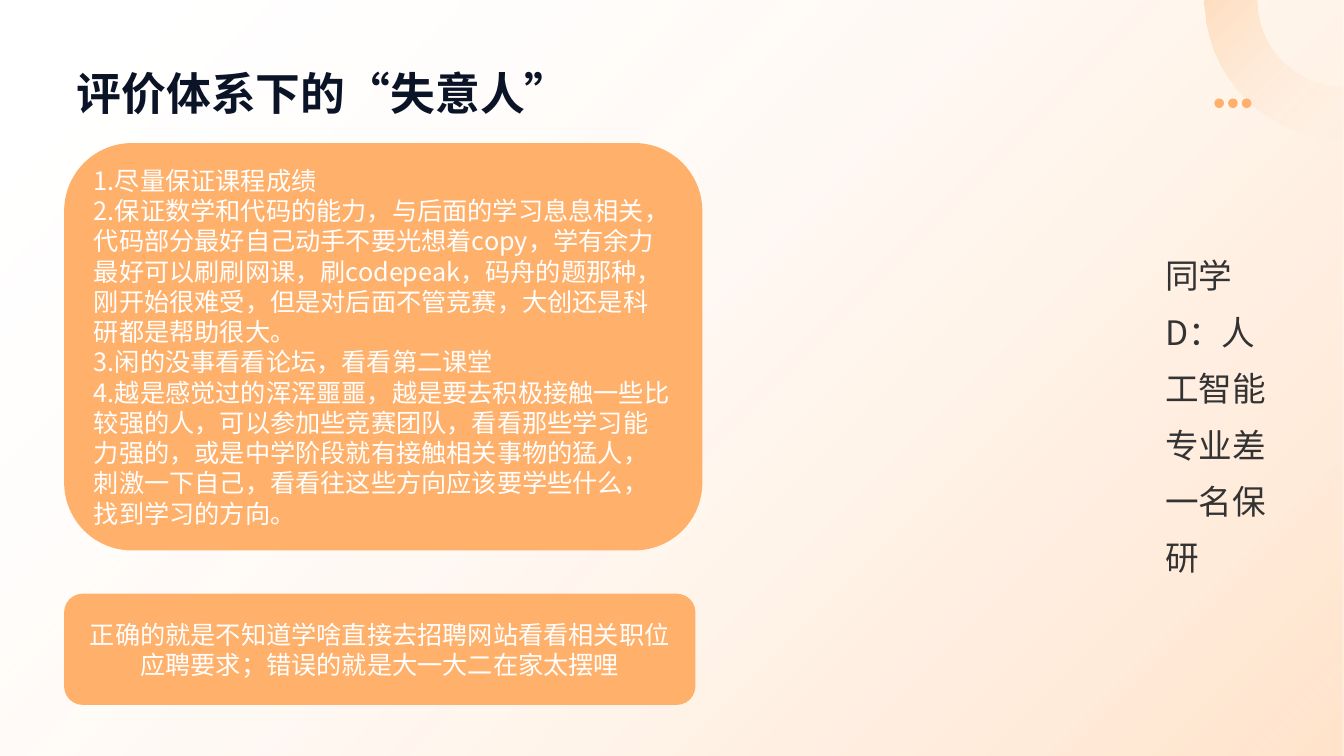
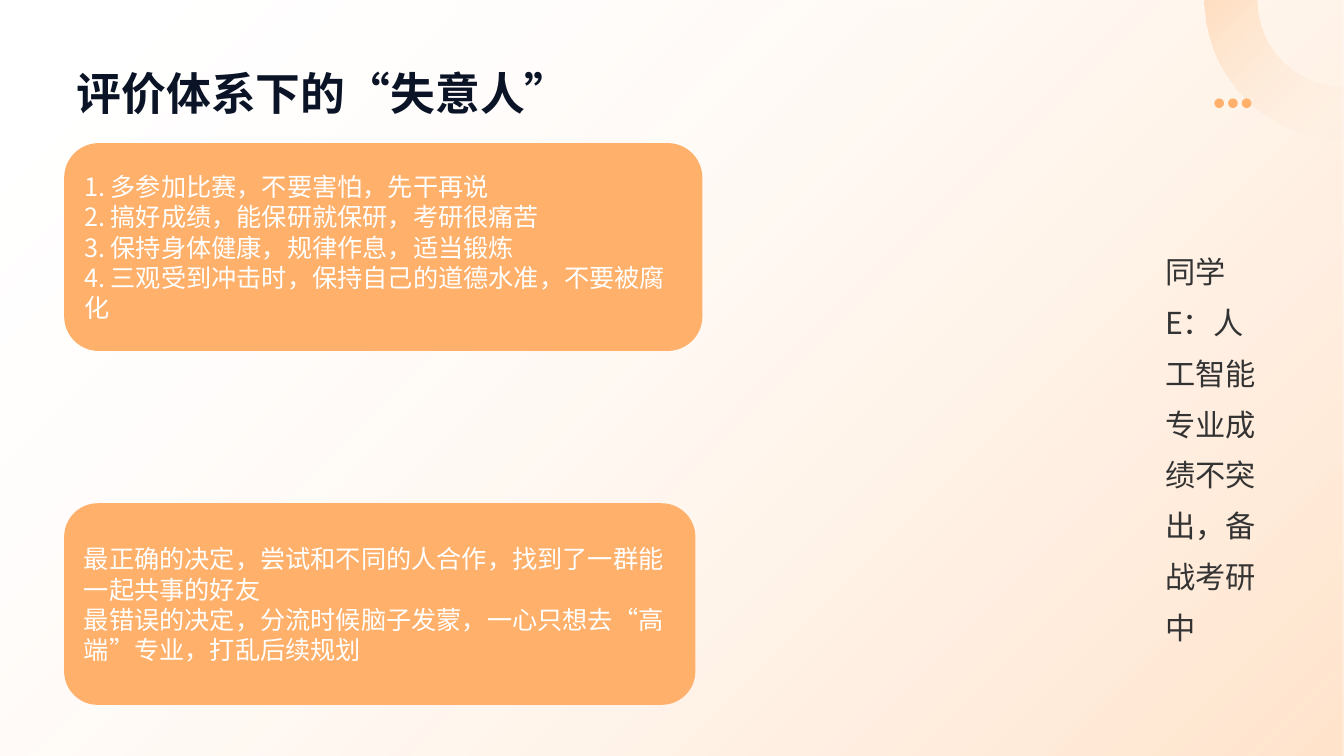
import math

from lxml import etree
from pptx import Presentation
from pptx.dml.color import RGBColor
from pptx.enum import lang, shapes, text
from pptx.oxml.ns import qn
from pptx.util import Pt

FONT = "Noto Sans CJK SC"
COLORS = {
    "white": "FFFFFF",
    "orange": "FFB06A",
    "peach": "FFDFC3",
    "title": "0B1427",
    "body": "333333",
}
WIDTH, HEIGHT = 960, 540
TITLE = "评价体系下的“失意人”"
TITLE_BOX = (54.8, 28.2, 850, 56.8)
PROFILE_BOX = (825.1, 167.2, 90.7, 296.6)
CARD_LEFT, CARD_TOP, CARD_BOTTOM = 45.8, 102.2, 503.5
ADVICE_WIDTH, DECISION_WIDTH = 455.9, 450.9

SLIDES = [
    {
        "profile": "同学D：人工智能专业差一名保研",
        "profile_size": 24,
        "advice": [
            "1.尽量保证课程成绩",
            "2.保证数学和代码的能力，与后面的学习息息相关，代码部分最好自己动手"
            "不要光想着copy，学有余力最好可以刷刷网课，刷codepeak，码舟的题那种，"
            "刚开始很难受，但是对后面不管竞赛，大创还是科研都是帮助很大。",
            "3.闲的没事看看论坛，看看第二课堂",
            "4.越是感觉过的浑浑噩噩，越是要去积极接触一些比较强的人，可以参加些"
            "竞赛团队，看看那些学习能力强的，或是中学阶段就有接触相关事物的猛人，"
            "刺激一下自己，看看往这些方向应该要学些什么，找到学习的方向。",
        ],
        "advice_height": 291,
        "decisions": [
            "正确的就是不知道学啥直接去招聘网站看看相关职位应聘要求；"
            "错误的就是大一大二在家太摆哩",
        ],
        "decision_height": 79.4,
        "decision_align": text.PP_ALIGN.CENTER,
    },
    {
        "profile": "同学E：人工智能专业成绩不突出，备战考研中",
        "profile_size": 21.6,
        "advice": [
            "1. 多参加比赛，不要害怕，先干再说",
            "2. 搞好成绩，能保研就保研，考研很痛苦",
            "3. 保持身体健康，规律作息，适当锻炼",
            "4. 三观受到冲击时，保持自己的道德水准，不要被腐化",
        ],
        "advice_height": 148.5,
        "decisions": [
            "最正确的决定，尝试和不同的人合作，找到了一群能一起共事的好友",
            "最错误的决定，分流时候脑子发蒙，一心只想去“高端”专业，打乱后续规划",
        ],
        "decision_height": 144,
        "decision_align": text.PP_ALIGN.LEFT,
    },
]


def rgb(name):
    return RGBColor.from_string(COLORS[name])


def points(box):
    return [Pt(v) for v in box]


def fill_solid(sp, color):
    sp.shadow.inherit = False
    sp.fill.solid()
    sp.fill.fore_color.rgb = rgb(color)
    sp.line.fill.background()


def fill_fade(sp, start, end, end_position, angle):
    """Gradient from fully transparent to 34 % opaque."""
    sp.shadow.inherit = False
    sp.line.fill.background()
    sp.fill.gradient()
    sp.fill.gradient_angle = angle
    stops = zip(sp.fill.gradient_stops, (start, end), (0, end_position))
    for stop, color, position in stops:
        stop.color.rgb = rgb(color)
        stop.position = position
    grad = sp._element.spPr.find(qn("a:gradFill"))
    for clr, opacity in zip(grad.iter(qn("a:srgbClr")), (0, 34000)):
        etree.SubElement(clr, qn("a:alpha")).set("val", str(opacity))


def write(tf, lines, size, color, align=text.PP_ALIGN.LEFT, bold=False, spacing=1.0):
    tf.word_wrap = True
    tf.auto_size = text.MSO_AUTO_SIZE.NONE
    for i, line in enumerate(lines):
        p = tf.add_paragraph() if i else tf.paragraphs[0]
        p.text = line
        p.alignment = align
        p.line_spacing = spacing
        for r in p.runs:
            r.font.size = Pt(size)
            r.font.bold = bold
            r.font.name = FONT
            r.font.color.rgb = rgb(color)
            r.font.language_id = lang.MSO_LANGUAGE_ID.SIMPLIFIED_CHINESE
            ea = etree.SubElement(r.font._element, qn("a:ea"))
            ea.set("typeface", FONT)


def add_corner_ring(s, cx, cy, outer, inner, steps=48):
    """Quarter ring to the lower left of its centre."""
    angles = [math.pi / 2 * (1 + i / steps) for i in range(steps + 1)]
    arc = [(outer, a) for a in reversed(angles)] + [(inner, a) for a in angles]
    outline = [
        (Pt(cx + radius * math.cos(a)), Pt(cy + radius * math.sin(a)))
        for radius, a in arc
    ]
    builder = s.shapes.build_freeform(*outline[0])
    builder.add_line_segments(outline[1:], close=True)
    ring = builder.convert_to_shape()
    fill_fade(ring, "peach", "orange", 1, angle=135)
    return ring


def add_dots(s, left, top, size=6.9, pitch=9.8, count=3):
    dots = []
    for i in range(count):
        box = points((left + i * pitch, top, size, size))
        dot = s.shapes.add_shape(shapes.MSO_SHAPE.OVAL, *box)
        fill_solid(dot, "orange")
        dots.append(dot)
    return dots


def move_backdrop_to_layout(s):
    """Draw the shared decoration, then hand it to the slide's layout."""
    wash = s.shapes.add_shape(
        shapes.MSO_SHAPE.RECTANGLE, *points((0, 0, WIDTH, HEIGHT))
    )
    fill_fade(wash, "white", "orange", 0.99, angle=315)
    ring = add_corner_ring(s, WIDTH, 0, 99.4, 62)
    backdrop = [wash, ring, *add_dots(s, 867.4, 70.3)]
    tree = s.slide_layout.shapes._spTree
    for i, sp in enumerate(backdrop):
        tree.insert(2 + i, sp._element)


def set_title(s, box):
    sp = s.shapes.title
    sp.left, sp.top, sp.width, sp.height = points(box)
    tf = sp.text_frame
    tf.margin_left = tf.margin_top = tf.margin_right = tf.margin_bottom = 0
    tf.vertical_anchor = text.MSO_ANCHOR.BOTTOM
    write(tf, [TITLE], 32, "title", bold=True)


def add_profile(s, box, label, size):
    sp = s.shapes.add_textbox(*points(box))
    write(sp.text_frame, [label], size, "body", spacing=1.4)


def add_card(s, box, lines, align=text.PP_ALIGN.LEFT):
    sp = s.shapes.add_shape(shapes.MSO_SHAPE.ROUNDED_RECTANGLE, *points(box))
    fill_solid(sp, "orange")
    sp.text_frame.vertical_anchor = text.MSO_ANCHOR.MIDDLE
    write(sp.text_frame, lines, 18, "white", align)


def fill_student_slide(s, student):
    set_title(s, TITLE_BOX)
    add_profile(s, PROFILE_BOX, student["profile"], student["profile_size"])
    advice_box = (CARD_LEFT, CARD_TOP, ADVICE_WIDTH, student["advice_height"])
    add_card(s, advice_box, student["advice"])
    height = student["decision_height"]
    decision_box = (CARD_LEFT, CARD_BOTTOM - height, DECISION_WIDTH, height)
    add_card(s, decision_box, student["decisions"], student["decision_align"])


def main():
    prs = Presentation()
    prs.slide_width, prs.slide_height = Pt(WIDTH), Pt(HEIGHT)
    layout = prs.slide_layouts[5]
    for i, student in enumerate(SLIDES):
        s = prs.slides.add_slide(layout)
        if i == 0:
            move_backdrop_to_layout(s)
        fill_student_slide(s, student)
    prs.save("out.pptx")


if __name__ == "__main__":
    main()
